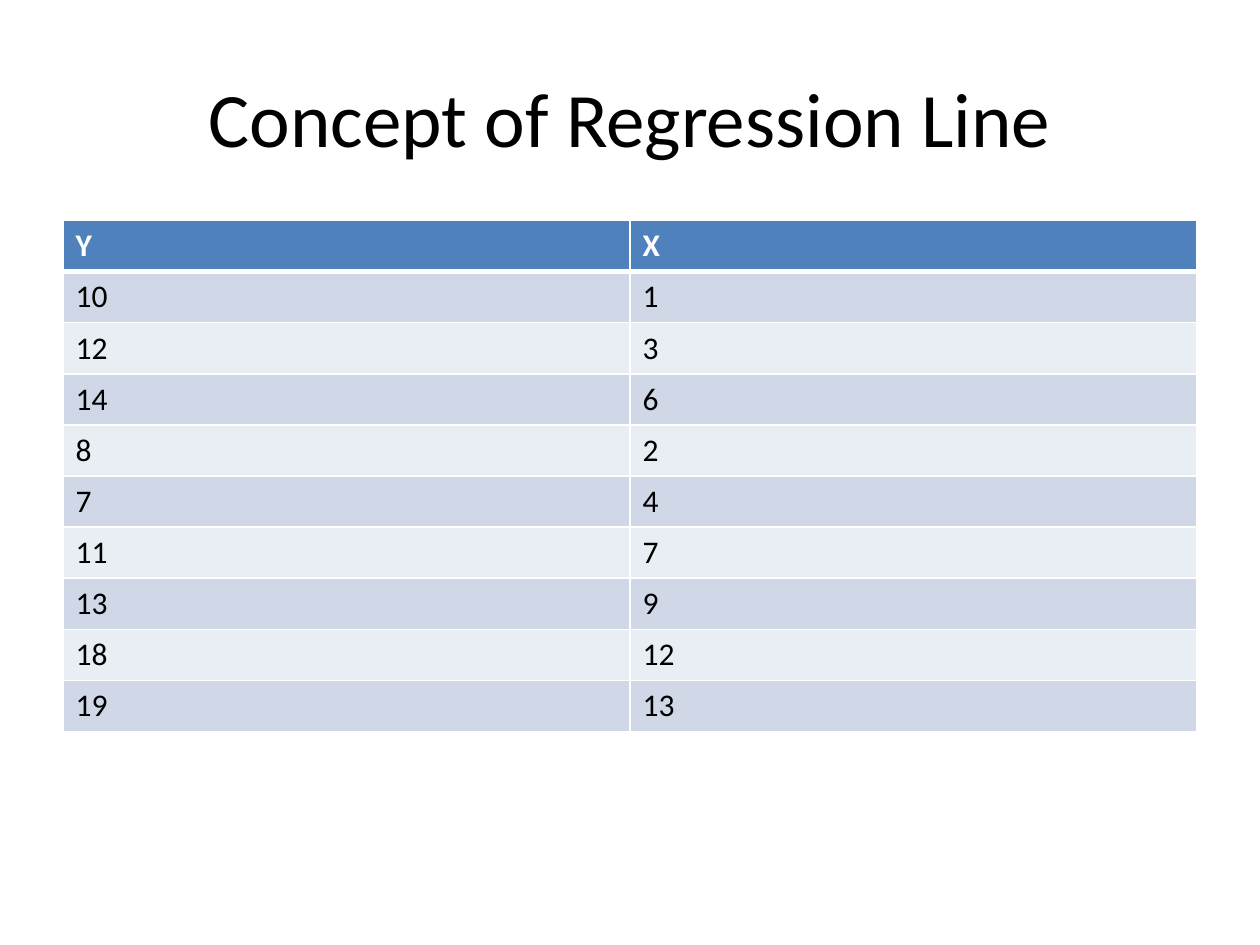
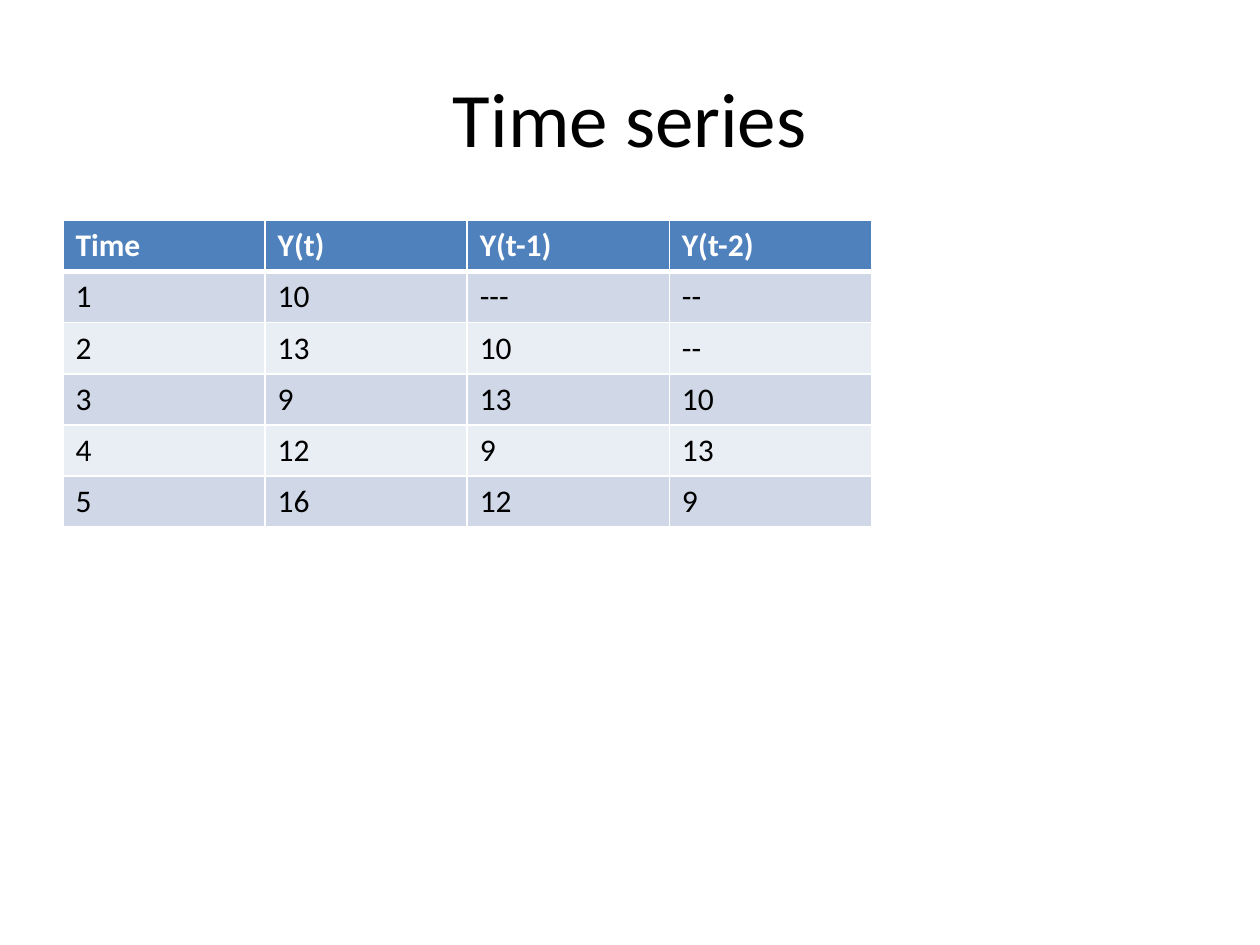
from dataclasses import dataclass

from lxml.etree import SubElement
from pptx import Presentation
from pptx.dml.color import RGBColor as RGB
from pptx.enum.text import MSO_ANCHOR as Anchor, PP_ALIGN as Align
from pptx.oxml.ns import qn
from pptx.util import Pt

SLIDES = [
    {
        "title": "Concept of Regression Line",
        "col_width": 324,
        "header": ["Y", "X"],
        "rows": [
            [10, 1], [12, 3], [14, 6], [8, 2], [7, 4],
            [11, 7], [13, 9], [18, 12], [19, 13],
        ],
    },
    {
        "title": "Time series",
        "col_width": 115.5,
        "header": ["Time", "Y(t)", "Y(t-1)", "Y(t-2)"],
        "rows": [
            [1, 10, "---", "--"],
            [2, 13, 10, "--"],
            [3, 9, 13, 10],
            [4, 12, 9, 13],
            [5, 16, 12, 9],
        ],
    },
]


@dataclass(frozen=True)
class Theme:
    font: str = "Calibri"
    title_size: int = 44
    cell_size: int = 18
    text: str = "000000"
    paper: str = "FFFFFF"
    header: str = "4F81BD"
    bands: tuple = ("D0D8E8", "E9EDF4")
    rule: int = 1
    header_rule: int = 3


THEME = Theme()
SLIDE_W, SLIDE_H = 720, 540
MARGIN = 36
TITLE_TOP, TITLE_H = 21.6, 90
TABLE_TOP, ROW_H = 126, 29.2


def write(tf, text, size, color, bold=False, align=Align.LEFT):
    p = tf.paragraphs[0]
    p.alignment = align
    r = p.add_run()
    r.text = str(text)
    r.font.name = THEME.font
    r.font.size = Pt(size)
    r.font.bold = bold
    r.font.color.rgb = RGB.from_string(color)


def set_borders(cell, top, bottom):
    tc_pr = cell._tc.get_or_add_tcPr()
    widths = {"L": THEME.rule, "R": THEME.rule, "T": top, "B": bottom}
    for side, width in widths.items():
        ln = SubElement(tc_pr, qn(f"a:ln{side}"), w=str(Pt(width)))
        fill = SubElement(ln, qn("a:solidFill"))
        SubElement(fill, qn("a:srgbClr"), val=THEME.paper)


def add_title(s, text):
    sp = s.shapes.title
    sp.left, sp.top = Pt(MARGIN), Pt(TITLE_TOP)
    sp.width, sp.height = Pt(SLIDE_W - 2 * MARGIN), Pt(TITLE_H)
    sp.text_frame.vertical_anchor = Anchor.MIDDLE
    write(sp.text_frame, text, THEME.title_size, THEME.text, align=Align.CENTER)


def add_data_table(s, header, rows, col_width):
    grid = [header] + rows
    table = s.shapes.add_table(
        len(grid), len(header), Pt(MARGIN), Pt(TABLE_TOP),
        Pt(col_width * len(header)), Pt(ROW_H * len(grid)),
    ).table
    for col in table.columns:
        col.width = Pt(col_width)
    for i, values in enumerate(grid):
        table.rows[i].height = Pt(ROW_H)
        is_header = i == 0
        fill = THEME.header if is_header else THEME.bands[(i - 1) % 2]
        color = THEME.paper if is_header else THEME.text
        top = THEME.header_rule if i == 1 else THEME.rule
        bottom = THEME.header_rule if is_header else THEME.rule
        for j, value in enumerate(values):
            cell = table.cell(i, j)
            set_borders(cell, top, bottom)
            cell.fill.solid()
            cell.fill.fore_color.rgb = RGB.from_string(fill)
            write(cell.text_frame, value, THEME.cell_size, color, is_header)


def main():
    prs = Presentation()
    prs.slide_width, prs.slide_height = Pt(SLIDE_W), Pt(SLIDE_H)
    title_only = prs.slide_layouts.get_by_name("Title Only")
    for content in SLIDES:
        s = prs.slides.add_slide(title_only)
        add_title(s, content["title"])
        add_data_table(s, content["header"], content["rows"], content["col_width"])
    prs.save("out.pptx")


if __name__ == "__main__":
    main()
